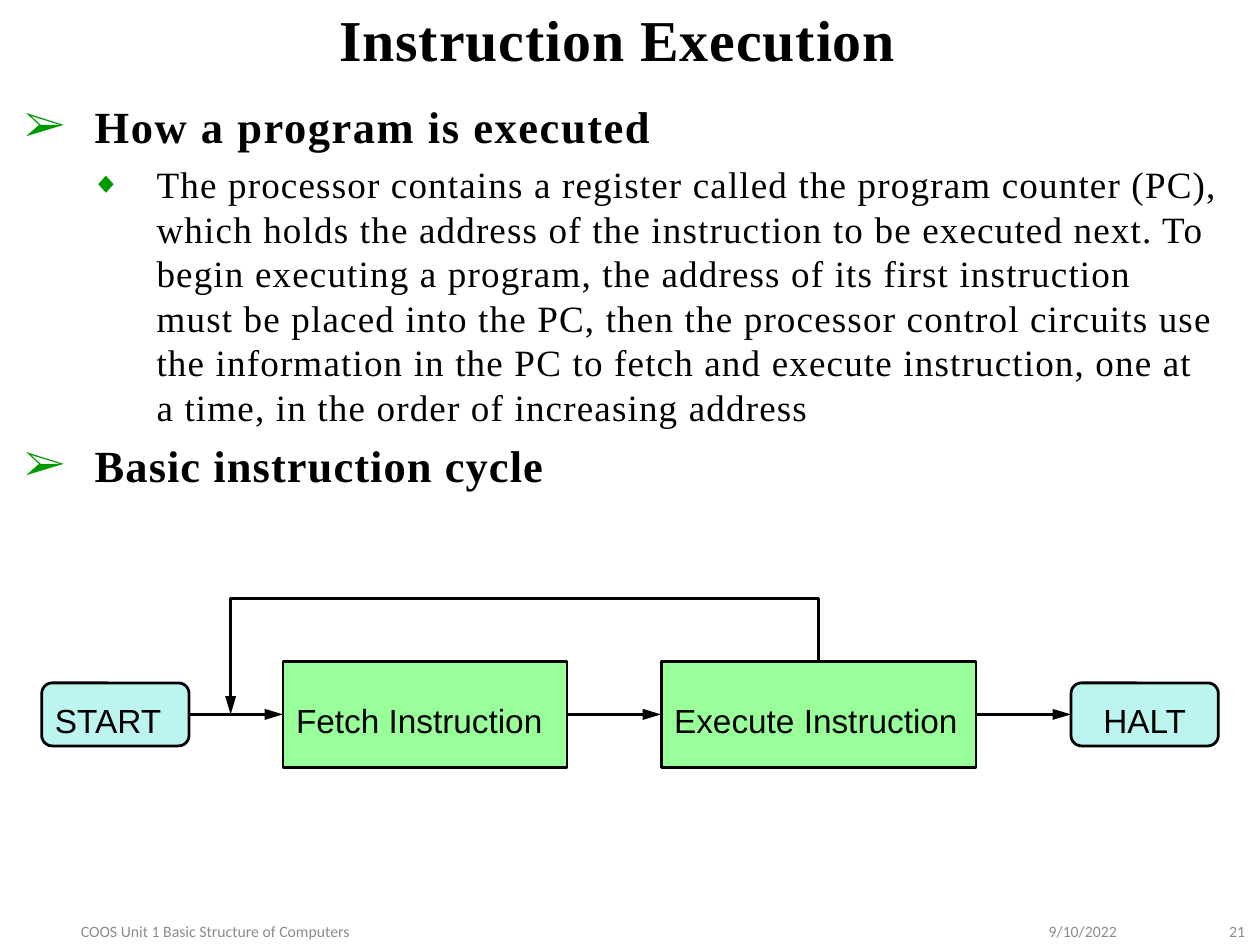
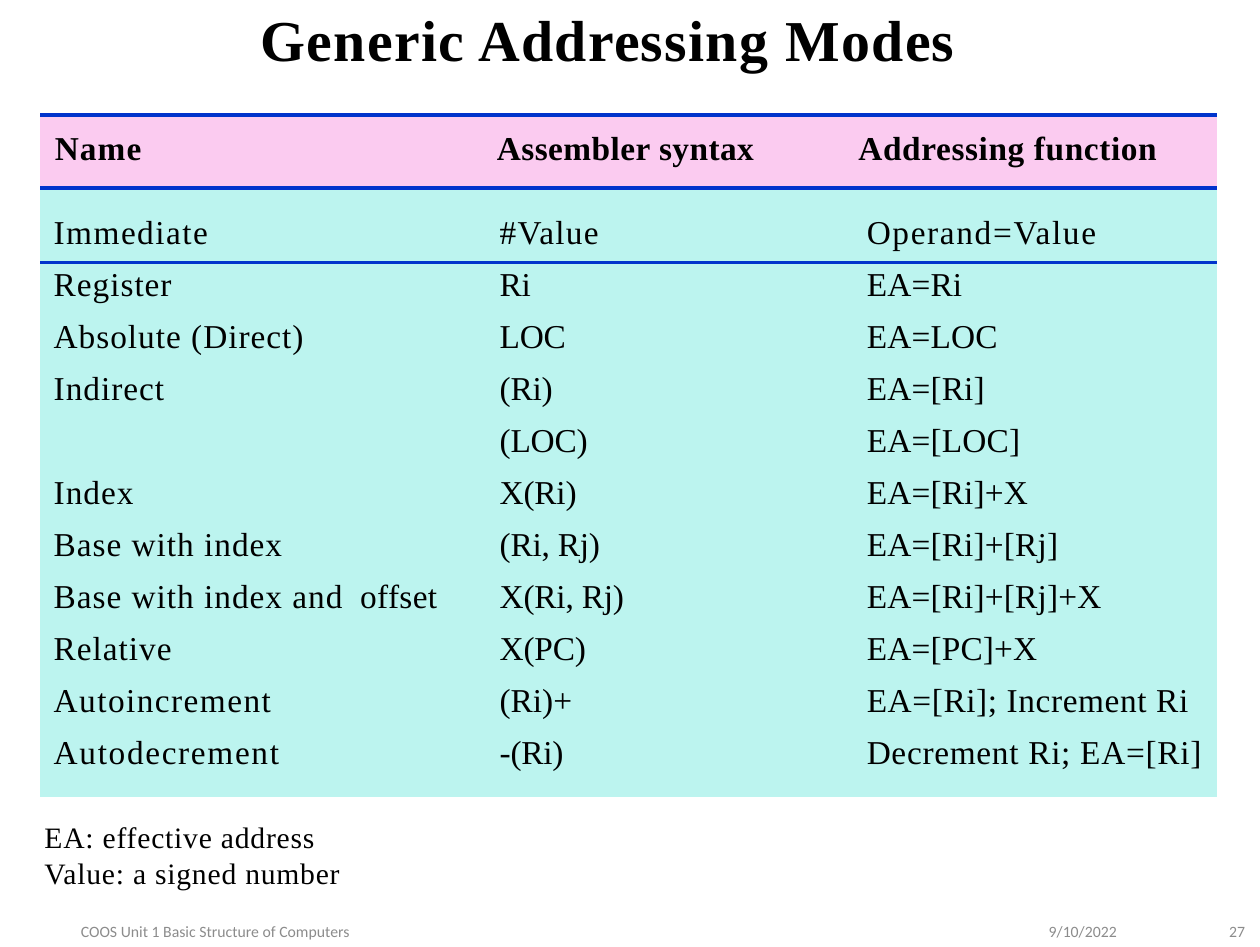
from lxml import etree
from pptx import Presentation
from pptx import util as u
from pptx.dml import color
from pptx.enum import shapes, text
from pptx.oxml import ns

COLOURS = {
    "ink": "000000", "line": "010101", "footer": "8C8C8C", "bullet": "009A00",
    "process": "99FF99", "pale": "BCF4EF", "header": "FBCBF0", "rule": "0134CC",
}
SERIF, SANS, FOOTER_FONT = "Times New Roman", "Arial", "Calibri"
LEFT, CENTER, RIGHT = text.PP_ALIGN.LEFT, text.PP_ALIGN.CENTER, text.PP_ALIGN.RIGHT
TOP, MIDDLE = text.MSO_ANCHOR.TOP, text.MSO_ANCHOR.MIDDLE
NO_TABLE_STYLE = "{2D5ABB26-0587-4C30-8999-92F81FD0307C}"

OUTLINE = [
    (0, 0.85, "How a program is executed"),
    (1, 0.63, "The processor contains a register called the program counter (PC), "
              "which holds the address of the instruction to be executed next. To "
              "begin executing a program, the address of its first instruction\v"
              "must be placed into the PC, then the processor control circuits use "
              "the information in the PC to fetch and execute instruction, one at\v"
              "a time, in the order of increasing address"),
    (0, 0.6, "Basic instruction cycle"),
]
LEVELS = [
    dict(size=24, bold=True, bullet="➢", scale=100, margin=39.6, hang=38, before=5),
    dict(size=20, bold=False, bullet="◆", scale=80, margin=73, hang=35.3, before=5),
]
MODES = [
    ("Name", "", "Assembler syntax", "Addressing function"),
    ("Immediate", "", "#Value", "Operand=Value"),
    ("Register", "", "Ri", "EA=Ri"),
    ("Absolute (Direct)", "", "LOC", "EA=LOC"),
    ("Indirect", "", "(Ri)", "EA=[Ri]"),
    ("", "", "(LOC)", "EA=[LOC]"),
    ("Index", "", "X(Ri)", "EA=[Ri]+X"),
    ("Base with index", "", "(Ri, Rj)", "EA=[Ri]+[Rj]"),
    ("Base with index and", "offset", "X(Ri, Rj)", "EA=[Ri]+[Rj]+X"),
    ("Relative", "", "X(PC)", "EA=[PC]+X"),
    ("Autoincrement", "", "(Ri)+", "EA=[Ri]; Increment Ri"),
    ("Autodecrement", "", "-(Ri)", "Decrement Ri; EA=[Ri]"),
]
COLUMN_WIDTHS = [169.9, 61.2, 183.6, 220.3]
HEADER_INSETS, BODY_INSETS = (8, 0, 15.5, 27), (7.4, 2.9, 17, 31.5)
ROW_HEIGHTS = [39.6, 40.3] + [28.1] * 9 + [35.3]
ROW_INSETS = {0: 8.8, 1: 14.2}
ROW_RULES = {0: {"a:lnT": 2.25, "a:lnB": 2.25}, 1: {"a:lnT": 2.25, "a:lnB": 2}}
ROW_SPACINGS = {0: (0.6, 0, 0.25, 0.35), 1: (0.8, 0, 0.7, 0.9),
                10: (0.8, 0, 0, 0.35), 11: (0.9, 0, -0.1, 0.4)}
BODY_SPACINGS = (0.55, 0.2, -0.1, 0.1)


def colour(name):
    """Return the named colour."""
    return color.RGBColor.from_string(COLOURS[name])


def child(parent, tag, **attributes):
    """Append an XML element with the given attributes."""
    element = etree.SubElement(parent, ns.qn(tag))
    for name, value in attributes.items():
        element.set(name, str(value))
    return element


class Deck:
    """Holds the shared style and the current slide."""

    def __init__(self, width, height):
        """Start an empty presentation of the given size."""
        self.presentation = Presentation()
        self.presentation.slide_width = u.Pt(width)
        self.presentation.slide_height = u.Pt(height)
        self.slide = None

    def add_slide(self, title, left, width, spacing, number):
        """Add a slide with its title and footers."""
        self.slide = self.presentation.slides.add_slide(self.presentation.slide_layouts[5])
        shape = self.slide.shapes.title
        shape.left, shape.top = u.Pt(left), u.Pt(1)
        shape.width, shape.height = u.Pt(width), u.Pt(39)
        shape.text_frame.text = title
        self.frame(shape, MIDDLE)
        self.style(shape.text_frame.paragraphs[0], 31.2, SERIF, bold=True, spacing=spacing)
        footers = [("9/10/2022", 566, 80, LEFT), (number, 652, 20, RIGHT),
                   ("COOS Unit 1 Basic Structure of Computers", 0, 232.5, CENTER)]
        for words, start, extent, align in footers:
            frame = self.textbox(start, 494, extent, 17, MIDDLE)
            frame.text = words
            self.style(frame.paragraphs[0], 8.5, FOOTER_FONT, "footer", align=align)

    def frame(self, shape, anchor, left=0, top=0):
        """Set wrapping, anchor and insets of a shape's text."""
        frame = shape.text_frame
        frame.word_wrap = True
        frame.auto_size = text.MSO_AUTO_SIZE.NONE
        frame.vertical_anchor = anchor
        frame.margin_left, frame.margin_top = u.Pt(left), u.Pt(top)
        frame.margin_right = frame.margin_bottom = 0
        return frame

    def style(self, paragraph, size, font, ink="ink", bold=False, spacing=0, align=LEFT):
        """Format a paragraph and all its runs."""
        paragraph.alignment = align
        for run in paragraph.runs:
            run.font.size, run.font.name, run.font.bold = u.Pt(size), font, bold
            run.font.color.rgb = colour(ink)
            run._r.get_or_add_rPr().set("spc", str(round(spacing * 100)))

    def textbox(self, left, top, width, height, anchor=TOP):
        """Add a text box and return its frame."""
        shape = self.slide.shapes.add_textbox(
            u.Pt(left), u.Pt(top), u.Pt(width), u.Pt(height))
        return self.frame(shape, anchor)

    def outline(self, items, left, top, width, height):
        """Add a bulleted outline of (level, spacing, words) items."""
        frame = self.textbox(left, top, width, height)
        for index, (level, spacing, words) in enumerate(items):
            look = LEVELS[level]
            paragraph = frame.add_paragraph() if index else frame.paragraphs[0]
            paragraph.text = words
            paragraph.level = level
            paragraph.space_before = u.Pt(look["before"] if index else 0)
            self.style(paragraph, look["size"], SERIF, bold=look["bold"], spacing=spacing)
            properties = paragraph._p.get_or_add_pPr()
            properties.set("marL", str(u.Pt(look["margin"])))
            properties.set("indent", str(-u.Pt(look["hang"])))
            child(child(properties, "a:buClr"), "a:srgbClr", val=COLOURS["bullet"])
            child(properties, "a:buSzPct", val=look["scale"] * 1000)
            child(properties, "a:buFont", typeface=SERIF)
            child(properties, "a:buChar", char=look["bullet"])

    def note(self, lines, left, top, width, height):
        """Add plain lines of text."""
        frame = self.textbox(left, top, width, height)
        frame.text = "\n".join(lines)
        for paragraph in frame.paragraphs:
            self.style(paragraph, 16, SERIF, spacing=0.45)

    def stroke(self, shape):
        """Give a shape or connector the diagram's line."""
        shape.line.color.rgb = colour("line")
        shape.line.width = u.Pt(1.5)

    def arrowhead(self, shape):
        """Put an arrowhead at the end of a line."""
        line = shape.element.spPr.find(ns.qn("a:ln"))
        child(line, "a:tailEnd", type="triangle", w="med", len="lg")

    def box(self, words, kind, left, middle, width, height, fill, inset=7, align=LEFT):
        """Add a labelled box centred on a height."""
        shape = self.slide.shapes.add_shape(
            kind, u.Pt(left), u.Pt(middle - height / 2), u.Pt(width), u.Pt(height))
        shape.shadow.inherit = False
        shape.fill.solid()
        shape.fill.fore_color.rgb = colour(fill)
        self.stroke(shape)
        frame = self.frame(shape, MIDDLE, inset, 6)
        frame.text = words
        self.style(frame.paragraphs[0], 18, SANS, align=align)
        return shape

    def arrow(self, source, target):
        """Join the right side of one box to the left side of the next."""
        connector = self.slide.shapes.add_connector(shapes.MSO_CONNECTOR.STRAIGHT, 0, 0, 0, 0)
        connector.begin_connect(source, 3)
        connector.end_connect(target, 1)
        self.stroke(connector)
        self.arrowhead(connector)
        child(connector.element.spPr, "a:effectLst")

    def path_arrow(self, points):
        """Add an arrow that bends at the given points."""
        start, *others = [(u.Pt(x), u.Pt(y)) for x, y in points]
        builder = self.slide.shapes.build_freeform(*start)
        builder.add_line_segments(others, close=False)
        shape = builder.convert_to_shape()
        shape.shadow.inherit = False
        shape.fill.background()
        self.stroke(shape)
        self.arrowhead(shape)

    def table(self, rows, left, top):
        """Add the table with its header, fills and rules."""
        graphic = self.slide.shapes.add_table(
            len(rows), len(COLUMN_WIDTHS), u.Pt(left), u.Pt(top),
            u.Pt(sum(COLUMN_WIDTHS)), u.Pt(sum(ROW_HEIGHTS)))
        table = graphic.table
        table.horz_banding = False
        graphic.element.find(".//" + ns.qn("a:tableStyleId")).text = NO_TABLE_STYLE
        for column, width in zip(table.columns, COLUMN_WIDTHS):
            column.width = u.Pt(width)
        for index, (row, words) in enumerate(zip(table.rows, rows)):
            row.height = u.Pt(ROW_HEIGHTS[index])
            header = index == 0
            insets = HEADER_INSETS if header else BODY_INSETS
            spacings = ROW_SPACINGS.get(index, BODY_SPACINGS)
            for cell, word, inset, spacing in zip(row.cells, words, insets, spacings):
                cell.text_frame.text = word
                cell.margin_left = u.Pt(inset)
                cell.margin_top = u.Pt(ROW_INSETS.get(index, 2))
                cell.margin_right = cell.margin_bottom = 0
                self.style(cell.text_frame.paragraphs[0], 18, SERIF, bold=header, spacing=spacing)
                for side, weight in ROW_RULES.get(index, {}).items():
                    line = child(cell._tc.get_or_add_tcPr(), side, w=u.Pt(weight))
                    child(child(line, "a:solidFill"), "a:srgbClr", val=COLOURS["rule"])
                cell.fill.solid()
                cell.fill.fore_color.rgb = colour("header" if header else "pale")


def main():
    """Build both slides and save them."""
    deck = Deck(680, 511)

    deck.add_slide("Instruction Execution", 183, 311, 0.5, "21")
    deck.outline(OUTLINE, 11.5, 53.5, 652, 220)
    axis = 385.5
    rounded, square = shapes.MSO_SHAPE.ROUNDED_RECTANGLE, shapes.MSO_SHAPE.RECTANGLE
    steps = [
        deck.box("START", rounded, 22.5, axis, 79.5, 34, "pale", inset=5.5),
        deck.box("Fetch Instruction", square, 152.8, axis, 153.2, 57, "process"),
        deck.box("Execute Instruction", square, 356.8, axis, 170, 57, "process"),
        deck.box("HALT", rounded, 578, axis, 79.5, 34, "pale", inset=0, align=CENTER),
    ]
    for source, target in zip(steps, steps[1:]):
        deck.arrow(source, target)
    deck.path_arrow([(441.8, axis - 28.5), (441.8, 323), (124.5, 323), (124.5, axis)])

    deck.add_slide("Generic Addressing Modes", 140.5, 389, 0.75, "27")
    deck.table(MODES, 21.6, 61.9)
    deck.note(["EA: effective address", "Value: a signed number"], 24, 442, 168, 42)

    deck.presentation.save("out.pptx")


if __name__ == "__main__":
    main()
